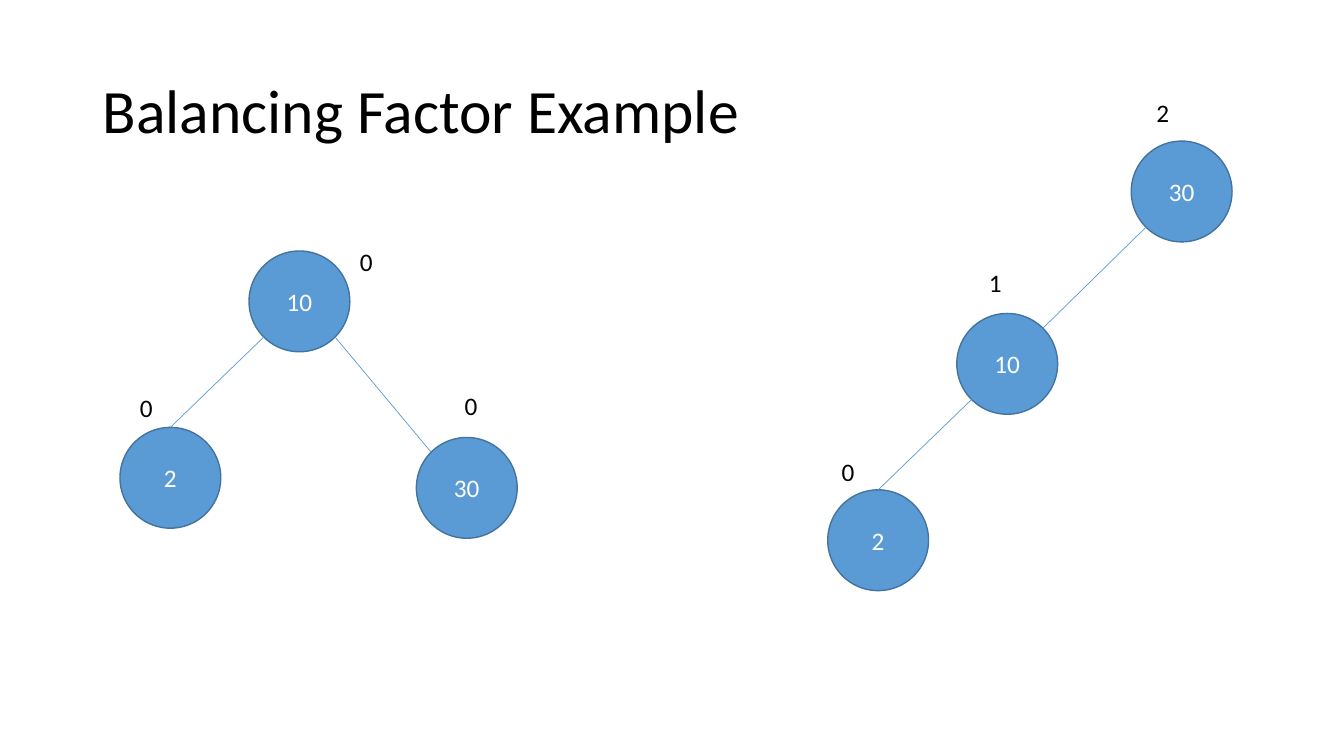
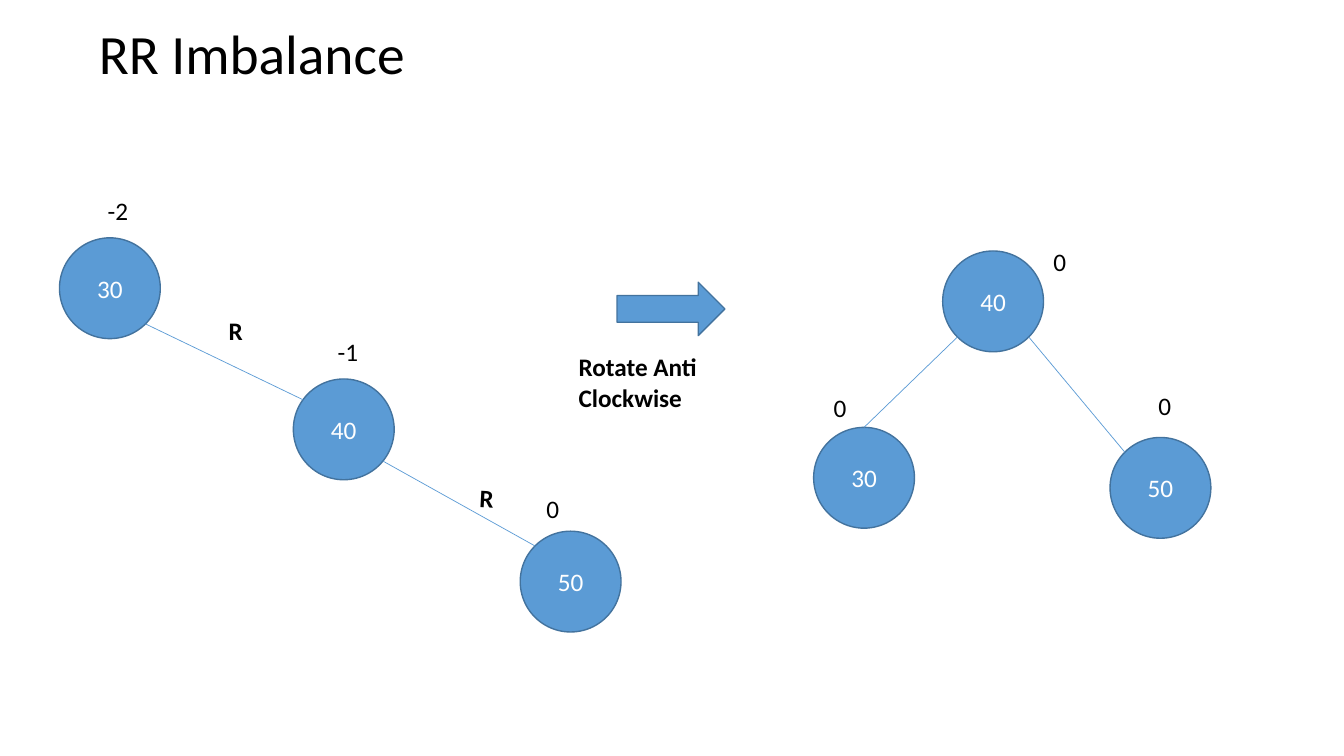
import math

import pptx
import pptx.dml.color
import pptx.enum.shapes
import pptx.enum.text
import pptx.util
from lxml import etree

Inches = pptx.util.Inches
Pt = pptx.util.Pt
MSO_SHAPE = pptx.enum.shapes.MSO_SHAPE
PP_ALIGN = pptx.enum.text.PP_ALIGN
MSO_ANCHOR = pptx.enum.text.MSO_ANCHOR

FONT = "Calibri"
BLUE, OUTLINE, BLACK, WHITE = "5B9BD5", "43739E", "000000", "FFFFFF"
NODE = 1.0  # node diameter
LABEL_H = 0.4

# Node: x, y within the tree, then the x, y of its balance factor from the node.
# Edge: parent, angle on the parent, child, angle on the child (clockwise from right).
BALANCED = (
    [(1.28, 0, 1.0, -0.1), (0, 1.75, 0.1, -0.4), (2.94, 1.85, 0.38, -0.52)],
    [(0, 135, 1, 270), (0, 45, 2, 225)],
)
LEFT_CHAIN = (
    [(3.01, 0, 0.15, -0.48), (1.28, 1.71, 0.22, -0.51), (0, 3.46, 0.04, -0.38)],
    [(0, 135, 1, 315), (1, 135, 2, 270)],
)
RIGHT_CHAIN = (
    [(0, 0, 0.38, -0.47), (2.32, 1.4, 0.34, -0.47), (4.57, 2.91, 0.16, -0.43)],
    [(0, 45, 1, 216), (1, 39, 2, 225)],
)


def rgb(color):
    return pptx.dml.color.RGBColor.from_string(color)


def style_text(p, size, color, bold=False):
    p.font.name = FONT
    p.font.size = Pt(size)
    p.font.bold = bold
    p.font.color.rgb = rgb(color)


def add_title_slide(prs, text, box, size):
    slide = prs.slides.add_slide(prs.slide_layouts.get_by_name("Title Only"))
    title = slide.shapes.title
    title.left, title.top, title.width, title.height = map(Inches, box)
    tf = title.text_frame
    tf.text = text
    tf.vertical_anchor = MSO_ANCHOR.MIDDLE
    p = tf.paragraphs[0]
    p.alignment = PP_ALIGN.LEFT
    p.line_spacing = 0.9
    style_text(p, size, BLACK)
    return slide


def add_blue_shape(slide, kind, x, y, w, h):
    sp = slide.shapes.add_shape(kind, Inches(x), Inches(y), Inches(w), Inches(h))
    sp.shadow.inherit = False
    sp.fill.solid()
    sp.fill.fore_color.rgb = rgb(BLUE)
    sp.line.color.rgb = rgb(OUTLINE)
    sp.line.width = Pt(1)
    return sp


def add_node(slide, x, y, key):
    tf = add_blue_shape(slide, MSO_SHAPE.OVAL, x, y, NODE, NODE).text_frame
    tf.text = key
    tf.vertical_anchor = MSO_ANCHOR.MIDDLE
    p = tf.paragraphs[0]
    p.alignment = PP_ALIGN.CENTER
    style_text(p, 18, WHITE)


def add_label(slide, x, y, w, text, bold=False):
    sp = slide.shapes.add_textbox(Inches(x), Inches(y), Inches(w), Inches(LABEL_H))
    tf = sp.text_frame
    tf.word_wrap = False
    tf.text = text
    style_text(tf.paragraphs[0], 18, BLACK, bold)
    return sp


def rim_point(x, y, angle):
    """Point on the rim of the node whose box starts at x, y."""
    r, a = NODE / 2, math.radians(angle)
    return Inches(x + r + r * math.cos(a)), Inches(y + r + r * math.sin(a))


def add_edge(slide, start, end):
    line = slide.shapes.add_connector(
        pptx.enum.shapes.MSO_CONNECTOR.STRAIGHT, *start, *end)
    line.line.color.rgb = rgb(BLUE)
    line.line.width = Pt(0.5)
    etree.SubElement(line._element.spPr, pptx.oxml.ns.qn("a:effectLst"))


def add_tree(slide, left, top, layout, keys, factors):
    places, edges = layout
    nodes = [(left + x, top + y) for x, y, _, _ in places]
    for (x, y), key in zip(nodes, keys):
        add_node(slide, x, y, key)
    for parent, parent_angle, child, child_angle in edges:
        add_edge(slide, rim_point(*nodes[parent], parent_angle),
                 rim_point(*nodes[child], child_angle))
    for (x, y), (_, _, dx, dy), factor in zip(nodes, places, factors):
        add_label(slide, x + dx, y + dy, 0.26 + 0.07 * len(factor), factor)


def add_rotation_step(slide, left, top, text):
    """Block arrow with its caption below."""
    add_blue_shape(slide, MSO_SHAPE.RIGHT_ARROW, left + 0.48, top, 1.07, 0.53)
    add_label(slide, left, top + 0.64, 2.45, text, bold=True)


def build_balancing_factor(prs):
    slide = add_title_slide(
        prs, "Balancing Factor Example", (0.92, 0.4, 11.5, 1.45), 44)
    add_tree(slide, 1.19, 2.49, BALANCED, ["10", "2", "30"], ["0", "0", "0"])
    add_tree(slide, 8.21, 1.4, LEFT_CHAIN, ["30", "10", "2"], ["2", "1", "0"])


def build_rr_imbalance(prs):
    slide = add_title_slide(prs, "RR Imbalance", (0.88, 0.2, 11.5, 0.72), 39.6)
    add_tree(slide, 8.07, 2.49, BALANCED, ["40", "30", "50"], ["0", "0", "0"])
    add_tree(slide, 0.59, 2.36, RIGHT_CHAIN, ["30", "40", "50"], ["-2", "-1", "0"])
    add_label(slide, 2.17, 3.08, 0.34, "R", bold=True)
    add_label(slide, 4.66, 4.74, 0.34, "R", bold=True).rotation = 3
    add_rotation_step(slide, 5.64, 2.8, "Rotate Anti Clockwise")


def main():
    prs = pptx.Presentation()
    prs.slide_width, prs.slide_height = Inches(13.33), Inches(7.5)
    build_balancing_factor(prs)
    build_rr_imbalance(prs)
    prs.save("out.pptx")


if __name__ == "__main__":
    main()
